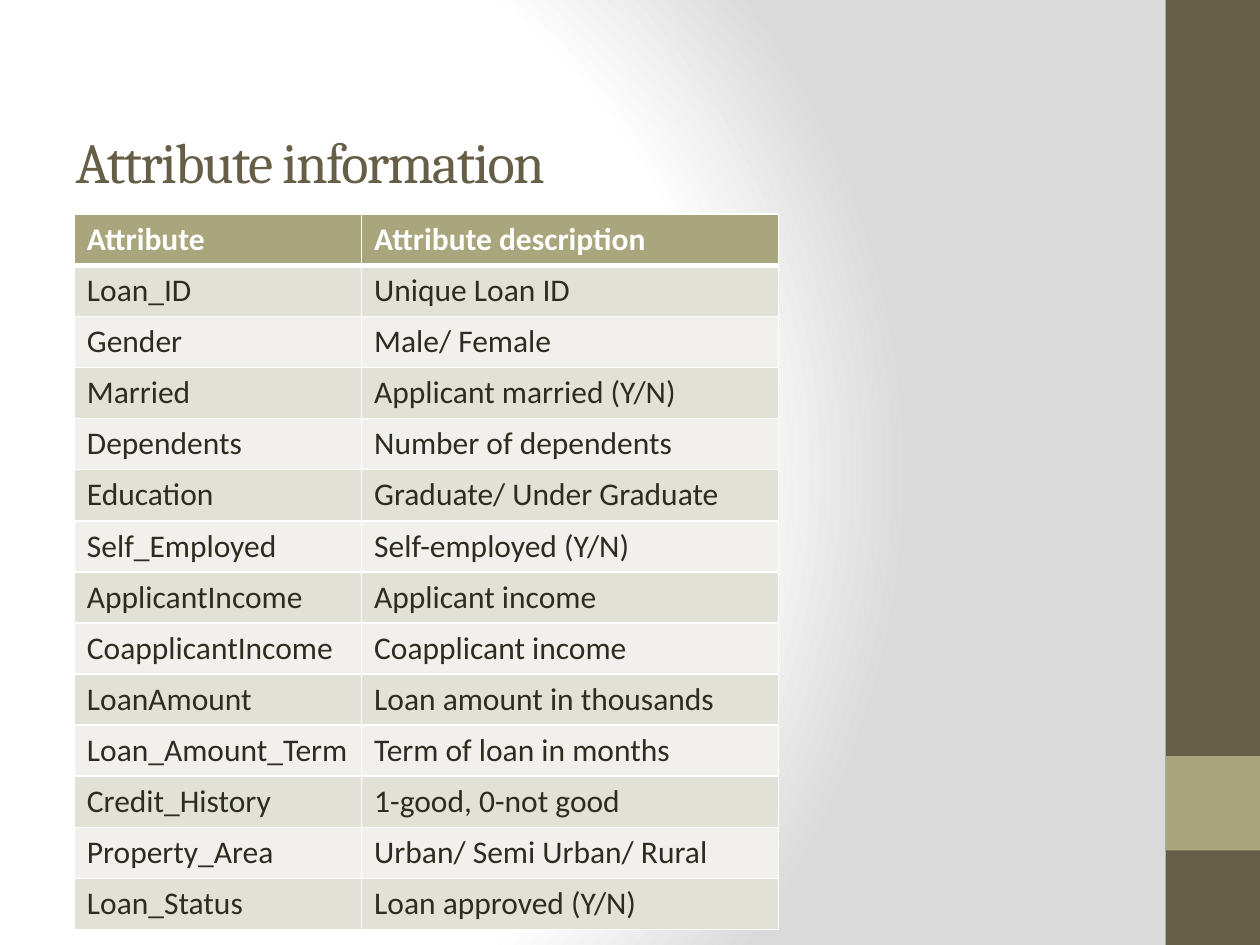
from lxml import etree
from pptx import Presentation
from pptx.dml.color import RGBColor
from pptx.enum.shapes import MSO_SHAPE
from pptx.enum.text import MSO_ANCHOR, MSO_AUTO_SIZE, PP_ALIGN
from pptx.oxml import parse_xml
from pptx.oxml.ns import nsdecls, qn
from pptx.util import Inches, Pt

BROWN = RGBColor(0x67, 0x5E, 0x47)
OLIVE = RGBColor(0xA9, 0xA5, 0x7C)
INK = RGBColor(0x2F, 0x2B, 0x20)
WHITE = RGBColor(0xFF, 0xFF, 0xFF)
GREY = RGBColor(0xDA, 0xDA, 0xDA)
BANDS = (RGBColor(0xE2, 0xE1, 0xD7), RGBColor(0xF1, 0xF0, 0xEC))

ROWS = [
    ("Attribute", "Attribute description"),
    ("Loan_ID", "Unique Loan ID"),
    ("Gender", "Male/ Female"),
    ("Married", "Applicant married (Y/N)"),
    ("Dependents", "Number of dependents"),
    ("Education", "Graduate/ Under Graduate"),
    ("Self_Employed", "Self-employed (Y/N)"),
    ("ApplicantIncome", "Applicant income"),
    ("CoapplicantIncome", "Coapplicant income"),
    ("LoanAmount", "Loan amount in thousands"),
    ("Loan_Amount_Term", "Term of loan in months"),
    ("Credit_History", "1-good, 0-not good"),
    ("Property_Area", "Urban/ Semi Urban/ Rural"),
    ("Loan_Status", "Loan approved (Y/N)"),
]
COL_WIDTHS = (2.28, 3.31)
ROW_HEIGHT = 0.4


def set_background(s):
    """Radial gradient, white in the middle and grey outside."""
    s.background.fill.gradient()
    bg_pr = s.background._cSld.bg.bgPr
    stops = "".join(
        f'<a:gs pos="{pos * 1000}"><a:srgbClr val="{color}"/></a:gs>'
        for pos, color in ((0, WHITE), (75, WHITE), (100, GREY)))
    grad = parse_xml(
        f'<a:gradFill {nsdecls("a")} rotWithShape="1"><a:gsLst>{stops}</a:gsLst>'
        '<a:path path="circle"><a:fillToRect l="20000" t="50000" r="100000" b="50000"/>'
        '</a:path></a:gradFill>')
    bg_pr.replace(bg_pr.find(qn("a:gradFill")), grad)


def add_bar(s, top, height, color):
    bar = s.shapes.add_shape(MSO_SHAPE.RECTANGLE, Inches(9.25), Inches(top),
                             Inches(0.75), Inches(height))
    bar.shadow.inherit = False
    bar.fill.solid()
    bar.fill.fore_color.rgb = color
    bar.line.fill.background()


def add_run(p, text, font, size, color, bold=False):
    r = p.add_run()
    r.text = text
    r.font.name = font
    r.font.size = Pt(size)
    r.font.color.rgb = color
    r.font.bold = bold
    return r


def set_title(s, text):
    title = s.shapes.title
    title.left, title.top = Inches(0.5), Inches(0.3)
    title.width, title.height = Inches(8.33), Inches(1.25)
    tf = title.text_frame
    tf.word_wrap = True
    tf.auto_size = MSO_AUTO_SIZE.NONE
    tf.vertical_anchor = MSO_ANCHOR.BOTTOM
    tf.margin_bottom = 0
    p = tf.paragraphs[0]
    p.alignment = PP_ALIGN.LEFT
    r = add_run(p, text, "Cambria", 32.4, BROWN)
    r.font._element.set("spc", "-100")


def set_borders(cell, bottom):
    """White rules; they must come before the fill in the cell properties."""
    tc_pr = cell._tc.get_or_add_tcPr()
    for i, (side, width) in enumerate((("L", 1), ("R", 1), ("T", 1), ("B", bottom))):
        ln = etree.Element(qn(f"a:ln{side}"), w=str(Pt(width)))
        fill = etree.SubElement(ln, qn("a:solidFill"))
        etree.SubElement(fill, qn("a:srgbClr"), val=str(WHITE))
        tc_pr.insert(i, ln)


def add_attribute_table(s):
    frame = s.shapes.add_table(len(ROWS), len(COL_WIDTHS), Inches(0.59), Inches(1.7),
                               Inches(sum(COL_WIDTHS)), Inches(ROW_HEIGHT * len(ROWS)))
    table = frame.table
    for column, width in zip(table.columns, COL_WIDTHS):
        column.width = Inches(width)
    for i, texts in enumerate(ROWS):
        header = i == 0
        table.rows[i].height = Inches(ROW_HEIGHT)
        for j, text in enumerate(texts):
            cell = table.cell(i, j)
            cell.fill.solid()
            cell.fill.fore_color.rgb = OLIVE if header else BANDS[(i - 1) % 2]
            # The rule below the header is shared with the first body row
            set_borders(cell, 3 if header else 1)
            if i == 1:
                cell._tc.tcPr.find(qn("a:lnT")).set("w", str(Pt(3)))
            add_run(cell.text_frame.paragraphs[0], text, "Calibri", 18,
                    WHITE if header else INK, header)


def main():
    prs = Presentation()
    prs.slide_width, prs.slide_height = Inches(10), Inches(7.5)
    s = prs.slides.add_slide(prs.slide_layouts[5])

    # Background and side bars
    set_background(s)
    add_bar(s, 0, 7.5, BROWN)
    add_bar(s, 6, 0.75, OLIVE)

    # Title and table
    set_title(s, "Attribute information")
    add_attribute_table(s)

    prs.save("out.pptx")


main()
